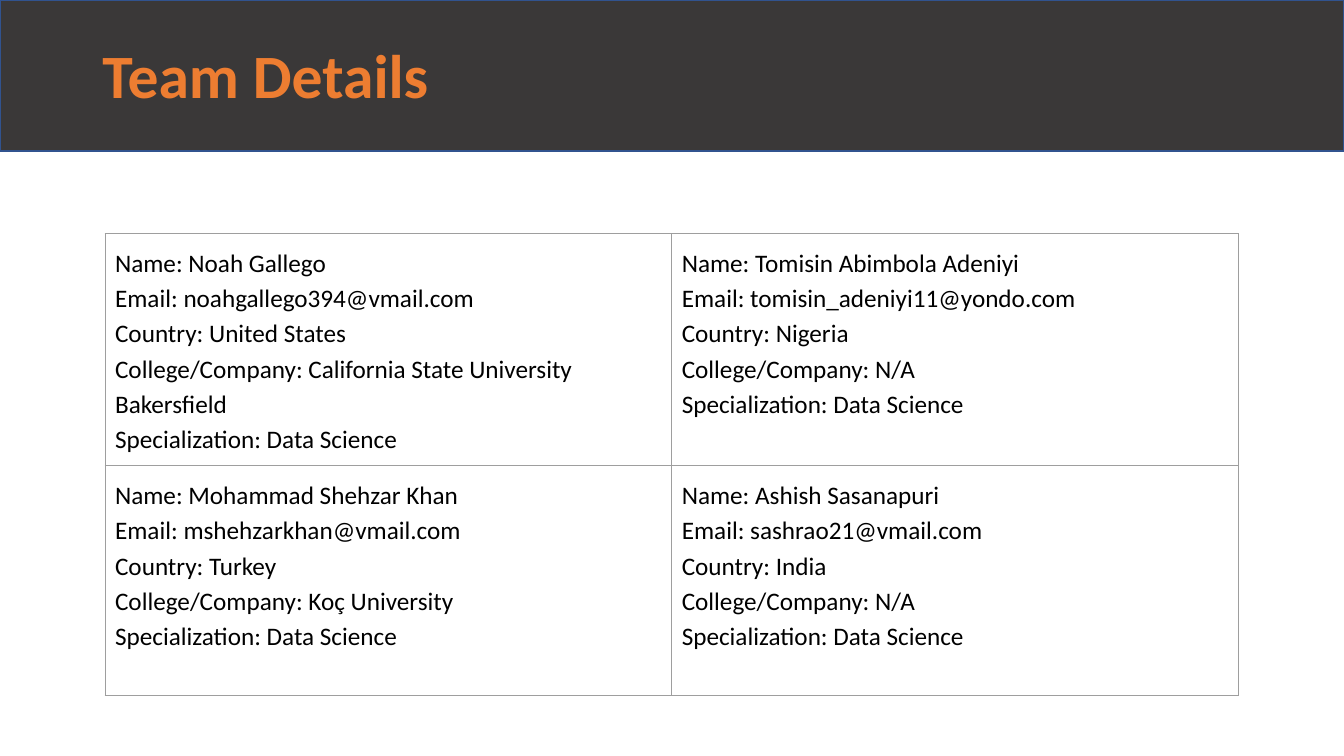
from lxml import etree
from pptx import Presentation
from pptx.dml.color import RGBColor
from pptx.enum.shapes import MSO_SHAPE
from pptx.enum.text import MSO_ANCHOR, PP_ALIGN
from pptx.oxml.ns import qn
from pptx.util import Pt

RECTANGLE = MSO_SHAPE.RECTANGLE
TOP, MIDDLE = MSO_ANCHOR.TOP, MSO_ANCHOR.MIDDLE
LEFT = PP_ALIGN.LEFT
TITLE_ONLY = 5
SLIDE_WIDTH, SLIDE_HEIGHT = 960, 540
COLUMN_WIDTH = 404.8
ROW_HEIGHTS = (162.7, 164.2)
LABELS = ("Name", "Email", "Country", "College/Company", "Specialization")
MEMBERS = (
    (
        ("Noah Gallego", "noahgallego394@vmail.com", "United States",
         "California State University Bakersfield", "Data Science"),
        ("Tomisin Abimbola Adeniyi", "tomisin_adeniyi11@yondo.com", "Nigeria",
         "N/A", "Data Science"),
    ),
    (
        ("Mohammad Shehzar Khan", "mshehzarkhan@vmail.com", "Turkey",
         "Koç University", "Data Science"),
        ("Ashish Sasanapuri", "sashrao21@vmail.com", "India",
         "N/A", "Data Science"),
    ),
)


def color(value):
    """Turn a hex string into a colour."""
    return RGBColor.from_string(value)


def write_text(frame, lines, size=18, fill="000000", bold=False, spacing=1.0):
    """Write one formatted paragraph for each line."""
    for index, line in enumerate(lines):
        paragraph = frame.add_paragraph() if index else frame.paragraphs[0]
        paragraph.alignment = LEFT
        paragraph.line_spacing = spacing
        run = paragraph.add_run()
        run.text = line
        run.font.name = "Calibri"
        run.font.size = Pt(size)
        run.font.bold = bold
        run.font.color.rgb = color(fill)


def add_borders(cell, line_color, width):
    """Draw a solid line on all four sides of a cell."""
    properties = cell._tc.get_or_add_tcPr()
    for index, side in enumerate(("a:lnL", "a:lnR", "a:lnT", "a:lnB")):
        line = etree.Element(qn(side), w=str(Pt(width)))
        fill = etree.SubElement(line, qn("a:solidFill"))
        etree.SubElement(fill, qn("a:srgbClr"), val=line_color)
        properties.insert(index, line)


def fill_cell(cell, member):
    """Format a cell and list one member's details in it."""
    cell.fill.background()
    add_borders(cell, "9E9E9E", 0.75)
    cell.margin_left = cell.margin_right = Pt(7.2)
    cell.margin_top = cell.margin_bottom = Pt(7.2)
    cell.vertical_anchor = TOP
    lines = [f"{label}: {value}" for label, value in zip(LABELS, member)]
    write_text(cell.text_frame, lines, spacing=1.15)


def add_team_table(slide):
    """Add the grid of team members."""
    frame = slide.shapes.add_table(
        len(MEMBERS), len(MEMBERS[0]), Pt(75), Pt(166.8),
        Pt(COLUMN_WIDTH * len(MEMBERS[0])), Pt(sum(ROW_HEIGHTS)))
    table = frame.table
    table.first_row = table.horz_banding = False
    for column in table.columns:
        column.width = Pt(COLUMN_WIDTH)
    for row, height, members in zip(table.rows, ROW_HEIGHTS, MEMBERS):
        row.height = Pt(height)
        for cell, member in zip(row.cells, members):
            fill_cell(cell, member)


def add_band(slide):
    """Add the dark band behind the title."""
    band = slide.shapes.add_shape(RECTANGLE, 0, 0, Pt(SLIDE_WIDTH), Pt(108))
    band.shadow.inherit = False
    band.fill.solid()
    band.fill.fore_color.rgb = color("3A3838")
    band.line.color.rgb = color("31538F")
    band.line.width = Pt(1)
    return band


def set_title(slide, band, text):
    """Place the title in front of the band and write it."""
    title = slide.shapes.title
    band.element.addnext(title.element)
    title.left, title.top = Pt(66), Pt(3.6)
    title.width, title.height = Pt(828), Pt(104.4)
    frame = title.text_frame
    frame.word_wrap = True
    frame.vertical_anchor = MIDDLE
    frame.margin_left = frame.margin_right = Pt(7.2)
    frame.margin_top = frame.margin_bottom = Pt(3.6)
    write_text(frame, [text], size=44, fill="ED7D31", bold=True, spacing=0.9)


def main():
    """Build and save the team slide."""
    presentation = Presentation()
    presentation.slide_width = Pt(SLIDE_WIDTH)
    presentation.slide_height = Pt(SLIDE_HEIGHT)
    slide = presentation.slides.add_slide(presentation.slide_layouts[TITLE_ONLY])
    add_team_table(slide)
    band = add_band(slide)
    set_title(slide, band, "Team Details")
    presentation.save("out.pptx")


if __name__ == "__main__":
    main()
